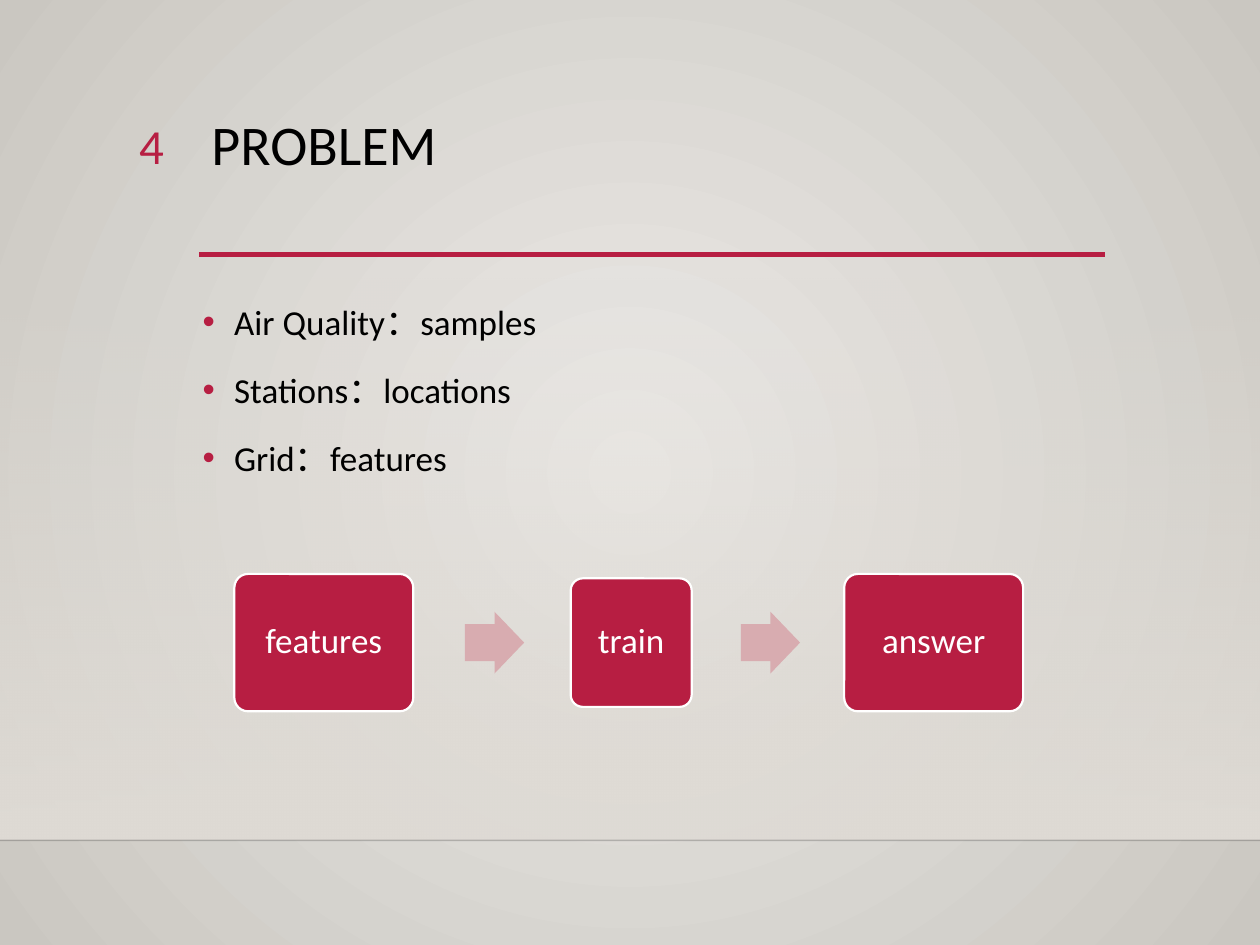
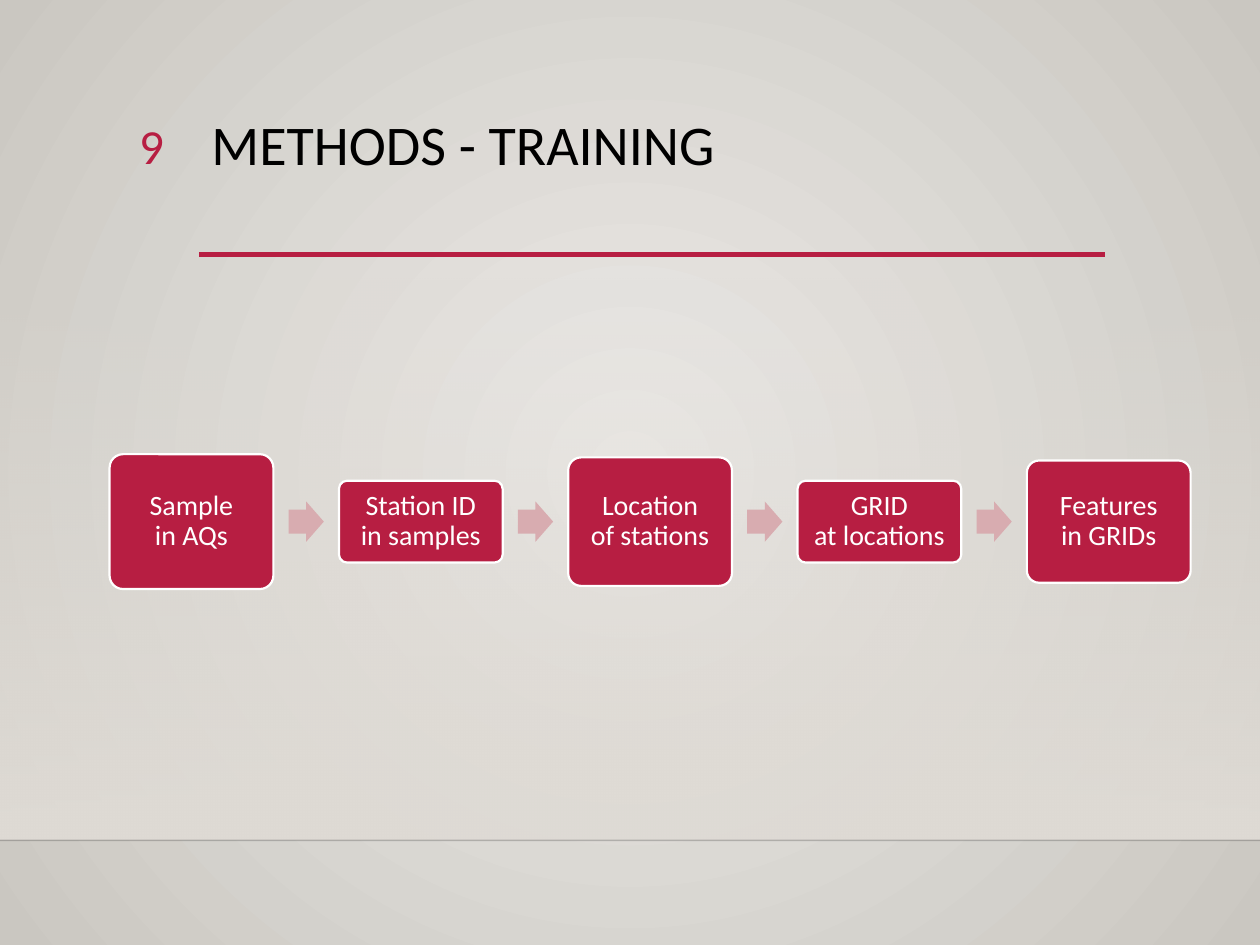
from lxml import etree
from pptx import Presentation
from pptx.dml.color import RGBColor
from pptx.enum.shapes import MSO_CONNECTOR, MSO_SHAPE
from pptx.enum.text import MSO_ANCHOR, PP_ALIGN
from pptx.oxml.ns import qn
from pptx.util import Inches, Pt

STRAIGHT = MSO_CONNECTOR.STRAIGHT
RECT, BOX, ARROW = MSO_SHAPE.RECTANGLE, MSO_SHAPE.ROUNDED_RECTANGLE, MSO_SHAPE.RIGHT_ARROW
MIDDLE = MSO_ANCHOR.MIDDLE
LEFT, CENTER, RIGHT = PP_ALIGN.LEFT, PP_ALIGN.CENTER, PP_ALIGN.RIGHT
FONT = "Calibri"
HEX = {"red": "B71E42", "pink": "D8ACB0", "white": "FFFFFF", "text": "000000",
       "bg_in": "ECEAE7", "bg_out": "CAC7C1", "band": "DFDBD5", "floor": "000001"}
COLORS = {name: RGBColor.from_string(value) for name, value in HEX.items()}


def add_text(p, text, size, color, align=LEFT, spacing=1.0):
    """Fill a paragraph with one run per line of text."""
    p.alignment, p.line_spacing = align, spacing
    for n, line in enumerate(text.split("\n")):
        if n:
            p.add_line_break()
        r = p.add_run()
        r.text = line
        r.font.name, r.font.size, r.font.color.rgb = FONT, Pt(size), COLORS[color]


def add_box(slide, shape, left, middle, width, height, fill):
    """Add a plain shape centred on the height given as middle."""
    sp = slide.shapes.add_shape(shape, Inches(left), Inches(middle - height / 2),
                                Inches(width), Inches(height))
    sp.shadow.inherit = False
    sp.fill.solid()
    sp.fill.fore_color.rgb = COLORS[fill]
    sp.line.fill.background()
    return sp


STEP = 1.82
TRAINING = [("Sample\nin AQs", 1.07), ("Station ID\nin samples", 0.65),
            ("Location\nof stations", 1.02), ("GRID\nat locations", 0.65),
            ("Features\nin GRIDs", 0.97)]
# Flow boxes are (text, left, width, height).
SLIDES = [
    {"number": "4", "title": "PROBLEM",
     "bullets": ["Air Quality：samples", "Stations：locations", "Grid：features"],
     "middle": 5.1, "size": 20, "inset": 0.08,
     "boxes": [("features", 1.86, 1.42, 1.09), ("train", 4.53, 0.96, 1.02),
               ("answer", 6.7, 1.42, 1.09)],
     "arrows": [3.69, 5.88], "arrow_size": (0.47, 0.49)},
    {"number": "9", "title": "METHODS - TRAINING", "bullets": [],
     "middle": 4.14, "size": 16, "inset": 0.07,
     "boxes": [(text, 0.87 + STEP * i, 1.3, height)
               for i, (text, height) in enumerate(TRAINING)],
     "arrows": [2.29 + STEP * i for i in range(len(TRAINING) - 1)],
     "arrow_size": (0.28, 0.32)},
]

prs = Presentation()
prs.slide_width, prs.slide_height = Inches(10), Inches(7.5)

for data in SLIDES:
    slide = prs.slides.add_slide(prs.slide_layouts[6])

    # Background, lightest in the centre
    fill = slide.background.fill
    fill.gradient()
    for stop, color in zip(fill.gradient_stops, ("bg_in", "bg_out")):
        stop.color.rgb = COLORS[color]
    grad = slide._element.find(".//" + qn("a:gradFill"))
    grad.remove(grad.find(qn("a:lin")))
    shade = etree.SubElement(grad, qn("a:path"), {"path": "circle"})
    etree.SubElement(shade, qn("a:fillToRect"), dict.fromkeys("ltrb", "50000"))

    # Wall band that fades in downwards
    band = add_box(slide, RECT, 0, 4.43, 10, 4.46, "band")
    band.fill.gradient()
    band.fill.gradient_angle = 270
    for stop in band.fill.gradient_stops:
        stop.color.rgb = COLORS["band"]
    clear = band._element.find(".//" + qn("a:gs")).find(qn("a:srgbClr"))
    etree.SubElement(clear, qn("a:alpha"), {"val": "0"})

    # Floor line and title rule
    for x1, x2, y, color, weight, alpha in ((0, 10, 6.67, "floor", 1, 20),
                                            (1.58, 8.77, 2.02, "red", 2.5, 100)):
        line = slide.shapes.add_connector(STRAIGHT, Inches(x1), Inches(y), Inches(x2), Inches(y))
        line.line.color.rgb, line.line.width = COLORS[color], Pt(weight)
        rgb = line._element.find(".//" + qn("a:srgbClr"))
        etree.SubElement(rgb, qn("a:alpha"), {"val": str(alpha * 1000)})
        etree.SubElement(line._element.spPr, qn("a:effectLst"))

    # Title and slide number
    for text, at, size, color, align, spacing in (
            (data["title"], (1.58, 0.88, 7.19, 1.15), 32, "text", LEFT, 0.9),
            (data["number"], (0.53, 0.87, 0.87, 0.55), 28, "red", RIGHT, 1.0)):
        tf = slide.shapes.add_textbox(*map(Inches, at)).text_frame
        tf.word_wrap = True
        add_text(tf.paragraphs[0], text, size, color, align, spacing)

    if data["bullets"]:
        tf = slide.shapes.add_textbox(Inches(1.51), Inches(2.27), Inches(7.19), Inches(1.72)).text_frame
        tf.word_wrap = True
        for n, text in enumerate(data["bullets"]):
            p = tf.add_paragraph() if n else tf.paragraphs[0]
            add_text(p, text, 20, "text", spacing=1.2)
            p.space_before = Pt(10)
            pPr = p._p.get_or_add_pPr()
            pPr.set("marL", str(Inches(0.25)))
            pPr.set("indent", str(Inches(-0.25)))
            bullet_color = etree.SubElement(pPr, qn("a:buClr"))
            etree.SubElement(bullet_color, qn("a:srgbClr"), {"val": HEX["red"]})
            etree.SubElement(pPr, qn("a:buFont"), {"typeface": "Arial"})
            etree.SubElement(pPr, qn("a:buChar"), {"char": "•"})

    # Flow of boxes and arrows
    for text, left, width, height in data["boxes"]:
        sp = add_box(slide, BOX, left, data["middle"], width, height, "red")
        sp.adjustments[0] = 0.1
        sp.line.color.rgb, sp.line.width = COLORS["white"], Pt(1.25)
        tf = sp.text_frame
        tf.word_wrap, tf.vertical_anchor = True, MIDDLE
        tf.margin_left = tf.margin_right = tf.margin_top = tf.margin_bottom = Inches(data["inset"])
        add_text(tf.paragraphs[0], text, data["size"], "white", CENTER, 0.9)
    for left in data["arrows"]:
        arrow = add_box(slide, ARROW, left, data["middle"], *data["arrow_size"], "pink")
        arrow.adjustments[0], arrow.adjustments[1] = 0.6, 0.5

prs.save("out.pptx")
